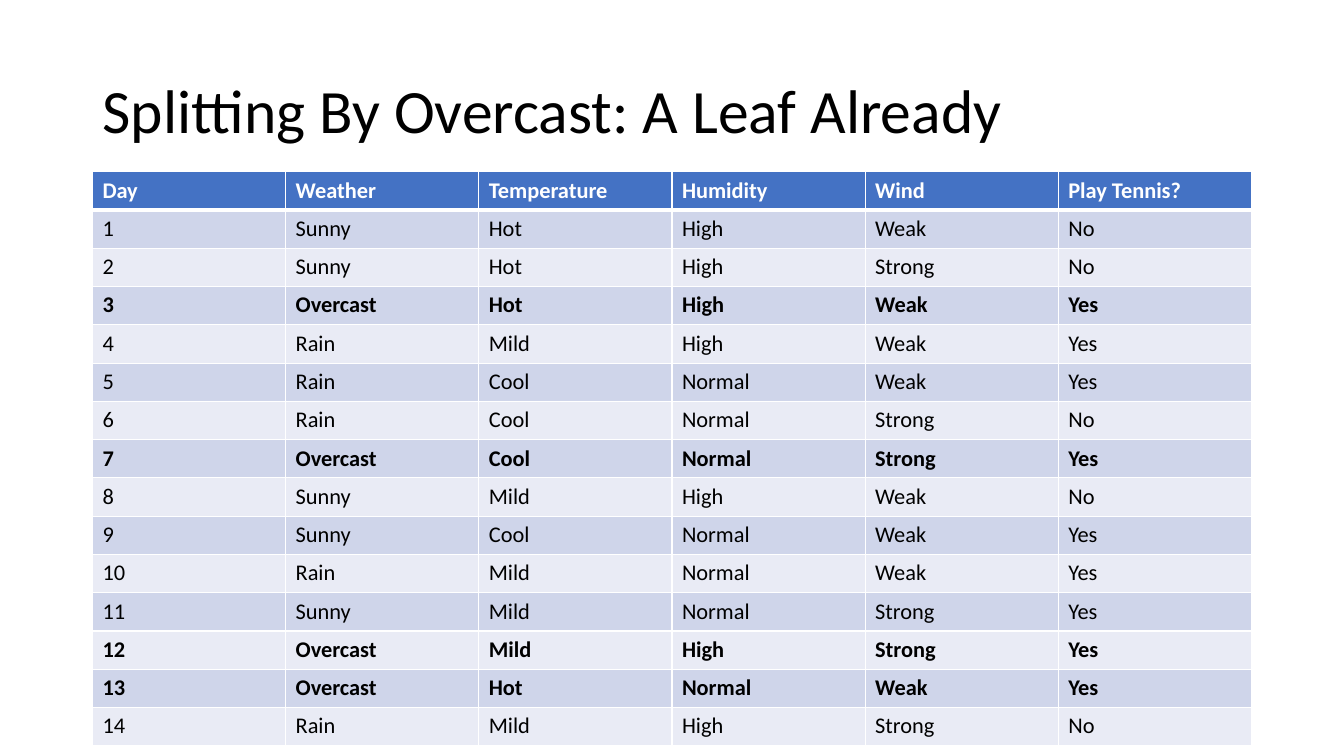
from lxml import etree
from pptx import Presentation
from pptx.dml.color import RGBColor
from pptx.enum.text import MSO_ANCHOR, MSO_AUTO_SIZE, PP_ALIGN
from pptx.oxml.ns import qn
from pptx.util import Cm, Pt

LEFT = PP_ALIGN.LEFT
MIDDLE = MSO_ANCHOR.MIDDLE
NO_AUTOFIT = MSO_AUTO_SIZE.NONE

FONT = "Calibri"
BLACK = RGBColor(0x00, 0x00, 0x00)
WHITE = RGBColor(0xFF, 0xFF, 0xFF)
HEADER_BLUE = RGBColor(0x44, 0x72, 0xC4)
BAND_DARK = RGBColor(0xCF, 0xD5, 0xEA)
BAND_LIGHT = RGBColor(0xE9, 0xEB, 0xF5)

HEADINGS = ("Day", "Weather", "Temperature", "Humidity", "Wind", "Play Tennis?")
OBSERVATIONS = (
    ("Sunny", "Hot", "High", "Weak", "No"),
    ("Sunny", "Hot", "High", "Strong", "No"),
    ("Overcast", "Hot", "High", "Weak", "Yes"),
    ("Rain", "Mild", "High", "Weak", "Yes"),
    ("Rain", "Cool", "Normal", "Weak", "Yes"),
    ("Rain", "Cool", "Normal", "Strong", "No"),
    ("Overcast", "Cool", "Normal", "Strong", "Yes"),
    ("Sunny", "Mild", "High", "Weak", "No"),
    ("Sunny", "Cool", "Normal", "Weak", "Yes"),
    ("Rain", "Mild", "Normal", "Weak", "Yes"),
    ("Sunny", "Mild", "Normal", "Strong", "Yes"),
    ("Overcast", "Mild", "High", "Strong", "Yes"),
    ("Overcast", "Hot", "Normal", "Weak", "Yes"),
    ("Rain", "Mild", "High", "Strong", "No"),
)


def write_text(tf, text, size=16, color=BLACK, bold=False, spacing=1.0):
    """Write one left-aligned formatted paragraph into a text frame."""
    p = tf.paragraphs[0]
    p.alignment = LEFT
    p.line_spacing = spacing
    r = p.add_run()
    r.text = text
    r.font.name = FONT
    r.font.size = Pt(size)
    r.font.bold = bold
    r.font.color.rgb = color


def set_borders(cell, top=1, bottom=1):
    """Give a cell white borders of the given point widths."""
    tc_pr = cell._tc.get_or_add_tcPr()
    for side, width in (("L", 1), ("R", 1), ("T", top), ("B", bottom)):
        ln = etree.SubElement(tc_pr, qn(f"a:ln{side}"), w=str(Pt(width)))
        fill = etree.SubElement(ln, qn("a:solidFill"))
        etree.SubElement(fill, qn("a:srgbClr"), val=str(WHITE))


def add_title(s, text, left, top, width, height):
    """Place and fill the title placeholder in the given box."""
    sp = s.shapes.title
    sp.left, sp.top, sp.width, sp.height = left, top, width, height
    tf = sp.text_frame
    tf.word_wrap = True
    tf.auto_size = NO_AUTOFIT
    tf.vertical_anchor = MIDDLE
    write_text(tf, text, size=44, spacing=0.9)


def add_observations(s, left, top, width, height):
    """Draw the banded table of days, with the overcast ones in bold."""
    rows = [HEADINGS]
    rows += [(str(day), *values) for day, values in enumerate(OBSERVATIONS, 1)]
    table = s.shapes.add_table(len(rows), len(HEADINGS), left, top, width, height).table
    for column in table.columns:
        column.width = width // len(HEADINGS)
    for i, values in enumerate(rows):
        table.rows[i].height = height // len(rows)
        header = i == 0
        band = BAND_DARK if i % 2 else BAND_LIGHT
        for j, value in enumerate(values):
            cell = table.cell(i, j)
            set_borders(cell, top=3 if i == 1 else 1, bottom=3 if header else 1)
            cell.fill.solid()
            cell.fill.fore_color.rgb = HEADER_BLUE if header else band
            write_text(cell.text_frame, value, color=WHITE if header else BLACK,
                       bold=header or "Overcast" in values)


def main():
    """Build the slide and save it."""
    prs = Presentation()
    prs.slide_width, prs.slide_height = Cm(33.87), Cm(19.05)
    s = prs.slides.add_slide(prs.slide_layouts[5])
    left, width = Cm(2.33), Cm(29.21)
    add_title(s, "Splitting By Overcast: A Leaf Already", left, Cm(1.01), width, Cm(3.68))
    add_observations(s, left, Cm(4.33), width, Cm(14.46))
    prs.save("out.pptx")


if __name__ == "__main__":
    main()
